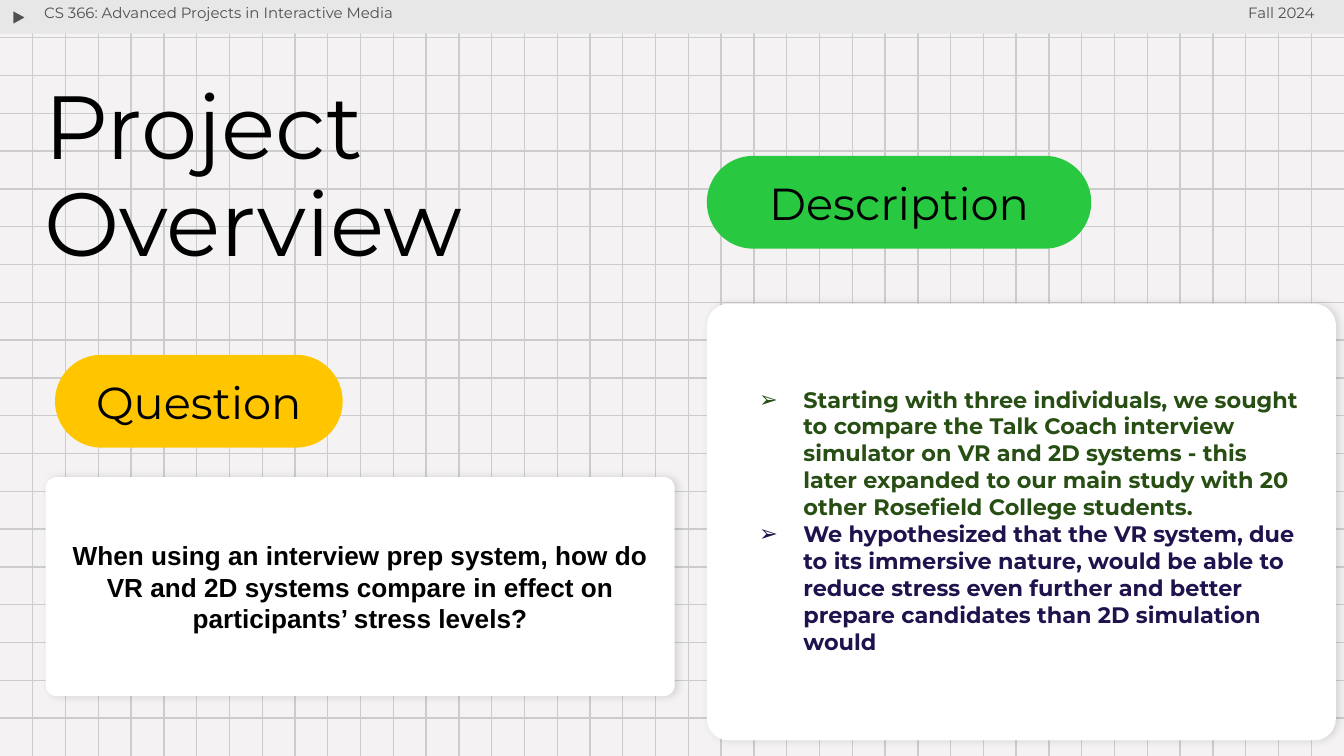
import lxml.etree
import pptx
import pptx.dml.color
import pptx.enum.shapes
import pptx.enum.text
import pptx.oxml.ns
import pptx.util

Inches = pptx.util.Inches
Shapes = pptx.enum.shapes.MSO_SHAPE
Align = pptx.enum.text.PP_ALIGN
Anchor = pptx.enum.text.MSO_ANCHOR

PAGE_WIDTH = 10
PAGE_HEIGHT = PAGE_WIDTH * 9 / 16
INK, GREY, GRID, BAR, WHITE = "000000", "4F4F4F", "CCCCCC", "E7E7E7", "FFFFFF"


def color(value):
    return pptx.dml.color.RGBColor.from_string(value)


def add_xml(parent, tag, **attributes):
    return lxml.etree.SubElement(parent, pptx.oxml.ns.qn(tag), attributes)


def write(shape, text, size, ink=INK, font="Montserrat", bold=False,
          align=Align.LEFT, anchor=Anchor.TOP, spacing=None, first=True):
    frame = shape.text_frame
    frame.word_wrap = True
    frame.vertical_anchor = anchor
    frame.margin_left = frame.margin_right = Inches(0.1)
    frame.margin_top = frame.margin_bottom = Inches(0.1)
    para = frame.paragraphs[0] if first else frame.add_paragraph()
    para.alignment = align
    if spacing:
        para.line_spacing = spacing
    span = para.add_run()
    span.text = text
    span.font.name = font
    span.font.size = pptx.util.Pt(size)
    span.font.bold = bold
    span.font.color.rgb = color(ink)
    return para


def add_text(page, left, top, width, height, text, size, **style):
    box = page.shapes.add_textbox(*map(Inches, (left, top, width, height)))
    write(box, text, size, **style)


def add_block(page, kind, left, top, width, height, fill, corner=None):
    block = page.shapes.add_shape(kind, *map(Inches, (left, top, width, height)))
    block.shadow.inherit = False
    block.fill.solid()
    block.fill.fore_color.rgb = color(fill)
    block.line.fill.background()
    if corner is not None:
        block.adjustments[0] = corner
    return block


def add_grid(page, columns, rows, column_gap, row_gap):
    verticals = [(i * column_gap, 0, i * column_gap, PAGE_HEIGHT)
                 for i in range(1, columns + 1)]
    horizontals = [(0, i * row_gap, PAGE_WIDTH, i * row_gap)
                   for i in range(1, rows + 1)]
    for ends in horizontals + verticals:
        line = page.shapes.add_connector(
            pptx.enum.shapes.MSO_CONNECTOR.STRAIGHT, *map(Inches, ends))
        line.line.color.rgb = color(GRID)
        line.line.width = pptx.util.Pt(0.75)
        add_xml(line._element.spPr, "a:effectLst")


def add_header(page, left, top, width, height, course, term):
    add_block(page, Shapes.RECTANGLE, left, top, width, height, BAR)
    marker = add_block(page, Shapes.ISOSCELES_TRIANGLE,
                       left + 0.09, top + 0.08, 0.11, 0.1, GREY)
    marker.rotation = 90
    marker.line.color.rgb = color(BAR)
    marker.line.width = pptx.util.Pt(0.75)
    add_text(page, left + 0.23, top - 0.04, 4.17, 0.34, course, 8, ink=GREY)
    add_text(page, left + width - 1.37, top - 0.04, 1.25, 0.34, term, 8,
             ink=GREY, align=Align.RIGHT)


def add_pill(page, left, top, width, height, text, fill):
    pill = add_block(page, Shapes.ROUNDED_RECTANGLE, left, top, width, height,
                     fill, corner=0.5)
    write(pill, text, 24, align=Align.CENTER, anchor=Anchor.MIDDLE)


def add_card(page, left, top, width, height):
    card = add_block(page, Shapes.ROUNDED_RECTANGLE, left, top, width, height,
                     WHITE, corner=0.05)
    effects = card._element.spPr.find(pptx.oxml.ns.qn("a:effectLst"))
    shadow = add_xml(effects, "a:outerShdw", blurRad=str(pptx.util.Pt(4.5)),
                     dist=str(pptx.util.Pt(1.5)), dir="0", algn="bl",
                     rotWithShape="0")
    shade = add_xml(shadow, "a:srgbClr", val=INK)
    add_xml(shade, "a:alpha", val="12000")
    return card


def add_question(page, left, top, width, height, text):
    card = add_card(page, left, top, width, height)
    write(card, text, 14, font="Arial", bold=True, align=Align.CENTER,
          anchor=Anchor.MIDDLE)


def add_description(page, left, top, width, height, points):
    add_card(page, left, top, width, height)
    box = page.shapes.add_textbox(*map(Inches, (
        left + 0.12, top + 0.51, width - 0.24, height - 1.03)))
    for index, (text, ink) in enumerate(points):
        para = write(box, text, 12, ink=ink, bold=True, first=index == 0)
        properties = para._p.get_or_add_pPr()
        properties.set("marL", str(Inches(0.5)))
        properties.set("indent", str(Inches(-0.33)))
        add_xml(add_xml(properties, "a:buClr"), "a:srgbClr", val=ink)
        add_xml(properties, "a:buFont", typeface="Montserrat")
        add_xml(properties, "a:buChar", char="➢")


def main():
    deck = pptx.Presentation()
    deck.slide_width = Inches(PAGE_WIDTH)
    deck.slide_height = Inches(PAGE_HEIGHT)
    page = deck.slides.add_slide(deck.slide_layouts[6])
    page.background.fill.solid()
    page.background.fill.fore_color.rgb = color("F4F2F2")

    add_grid(page, 40, 19, PAGE_WIDTH / 41, PAGE_HEIGHT / 20)
    add_header(page, 0, 0, PAGE_WIDTH, 0.25,
               "CS 366: Advanced Projects in Interactive Media", "Fall 2024")
    add_text(page, 0.23, 0.51, 5.49, 1.66, "Project Overview", 48, spacing=0.9)
    add_question(page, 0.34, 3.55, 4.68, 1.63,
                 "When using an interview prep system, how do VR and 2D systems "
                 "compare in effect on participants’ stress levels?")
    add_pill(page, 0.41, 2.64, 2.14, 0.69, "Question", "FFC600")
    add_description(page, 5.26, 2.26, 4.68, 3.25, [
        ("Starting with three individuals, we sought to compare the Talk Coach "
         "interview simulator on VR and 2D systems - this later expanded to our "
         "main study with 20 other Rosefield College students.", "274E13"),
        ("We hypothesized that the VR system, due to its immersive nature, would "
         "be able to reduce stress even further and better prepare candidates "
         "than 2D simulation would", "20124D"),
    ])
    add_pill(page, 5.26, 1.16, 2.86, 0.69, "Description", "28C840")
    deck.save("out.pptx")


if __name__ == "__main__":
    main()
